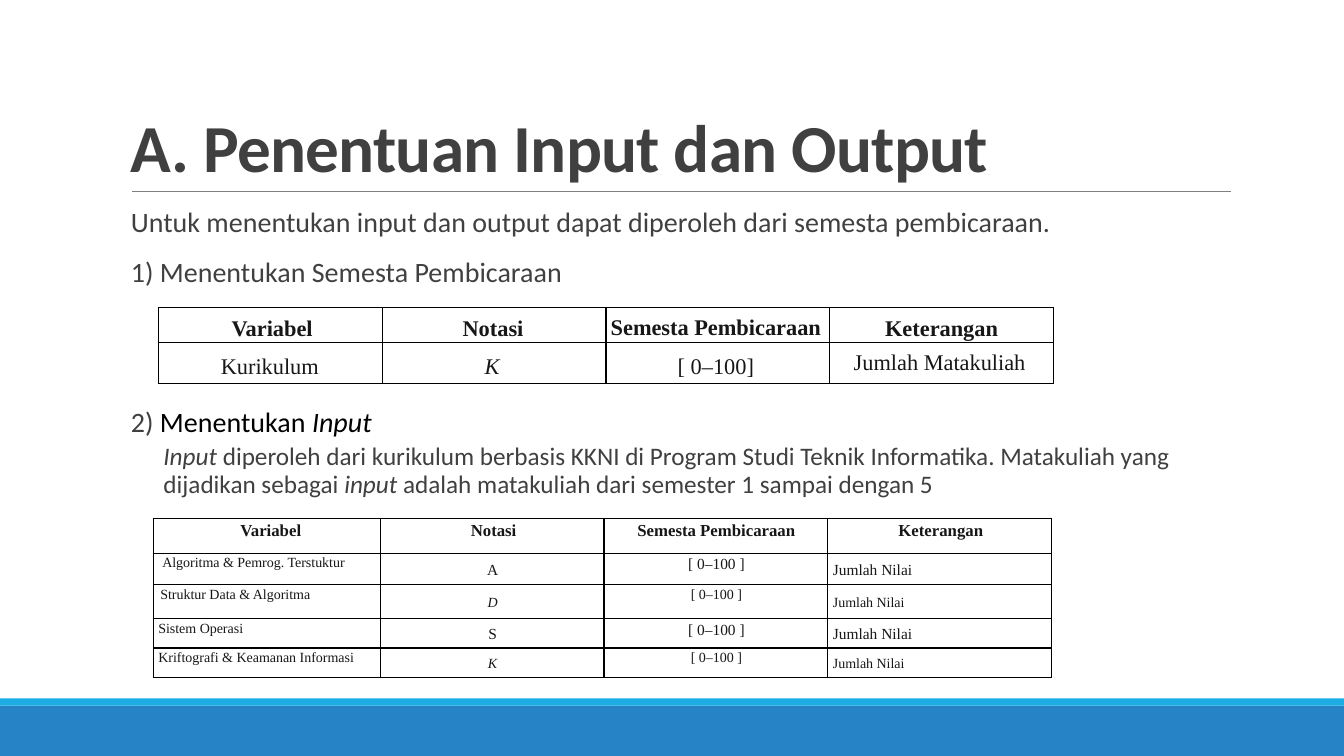
from lxml.etree import SubElement
from pptx import Presentation
from pptx.dml.color import RGBColor
from pptx.enum.shapes import MSO_CONNECTOR, MSO_SHAPE
from pptx.enum.text import MSO_ANCHOR as ANCHOR, PP_ALIGN as ALIGN
from pptx.oxml.ns import qn
from pptx.util import Cm, Pt

COLORS = {"text": "404040", "black": "000000", "cell": "181717",
          "band": "2683C6", "stripe": "1CADE4", "rule": "808080"}
BARS = [("band", 17.78, 1.27), ("stripe", 17.6, 0.18)]
TITLE = "A. Penentuan Input dan Output"
INTRO = [
    dict(size=20, indent=0.25, before=0, after=2, runs=[
        ("Untuk menentukan input dan output dapat diperoleh dari semesta pembicaraan.", "text", False)]),
    dict(size=20, indent=0.25, before=12, after=2, runs=[
        ("1) Menentukan Semesta Pembicaraan", "text", False)]),
]
INPUT = [
    dict(size=20, indent=0.25, before=0, after=2, runs=[
        ("2) ", "text", False), ("Menentukan ", "black", False), ("Input", "black", True)]),
    dict(size=18, indent=1.07, before=2, after=4, runs=[
        ("Input ", "text", True),
        ("diperoleh dari kurikulum berbasis KKNI di Program Studi Teknik Informatika. "
         "Matakuliah yang dijadikan sebagai ", "text", False),
        ("input ", "text", True),
        ("adalah matakuliah dari semester 1 sampai dengan 5", "text", False)]),
]
HEADER = ["Variabel", "Notasi", "Semesta Pembicaraan", "Keterangan"]
RANGE, SCORE = "[ 0–100 ]", "Jumlah Nilai"
UNIVERSE = dict(
    left=3.99, top=7.75, widths=[5.64] * 4, insets=(0.1, 0.1, 0.2, 0), aligns="cccc",
    rows=[(0.86, 16, "mmtm", (0.2, 0.05, 0, 0.1), HEADER),
          (1.04, 16, "mmmt", (0.08, 0, 0, 0),
           ["Kurikulum", "K", "[ 0–100]", "Jumlah Matakuliah"])])
COURSES = dict(
    left=3.86, top=13.06, widths=[5.72] + [5.64] * 3, insets=(0.13, 0, 0.1, 0), aligns="lccl",
    rows=[(0.88, 12, "tttt", (0.18, 0.05, 0, 0.03), HEADER),
          (0.79, 11, "tmtm", (0.1, 0, 0, 0), ["Algoritma & Pemrog. Terstuktur", "A", RANGE, SCORE]),
          (0.86, 10, "tmtm", (0.05, 0, 0, 0), ["Struktur Data & Algoritma", "D", RANGE, SCORE]),
          (0.74, 11, "tmtm", (0, 0, 0, 0), ["Sistem Operasi", "S", RANGE, SCORE]),
          (0.74, 10, "tmtm", (0, 0, 0, 0), ["Kriftografi & Keamanan Informasi", "K", RANGE, SCORE])])
NAME_SIZE = 10
ITALIC = {"K", "D"}
ANCHORS = {"t": ANCHOR.TOP, "m": ANCHOR.MIDDLE}
ALIGNS = {"l": ALIGN.LEFT, "c": ALIGN.CENTER}


def rgb(name):
    return RGBColor.from_string(COLORS[name])


def indent(p, cm):
    pPr = p._p.get_or_add_pPr()
    pPr.set("marL", str(Cm(cm)))
    pPr.set("indent", "0")


def add_bar(s, color, top, height):
    sp = s.shapes.add_shape(MSO_SHAPE.RECTANGLE, 0, Cm(top), Cm(33.87), Cm(height))
    sp.shadow.inherit = False
    sp.fill.solid()
    sp.fill.fore_color.rgb = rgb(color)
    sp.line.fill.background()


def add_rule(s):
    line = s.shapes.add_connector(MSO_CONNECTOR.STRAIGHT, Cm(3.33), Cm(4.83), Cm(31.01), Cm(4.83))
    line.line.color.rgb = rgb("rule")
    line.line.width = Pt(0.5)
    SubElement(line._element.spPr, qn("a:effectLst"))


def add_box(s, top, height):
    tf = s.shapes.add_textbox(Cm(3.05), Cm(top), Cm(27.94), Cm(height)).text_frame
    tf.word_wrap = True
    return tf


def add_title(s):
    tf = add_box(s, 0.79, 4.04)
    tf.vertical_anchor = ANCHOR.BOTTOM
    p = tf.paragraphs[0]
    r = p.add_run()
    r.text = TITLE
    r._r.get_or_add_rPr().set("spc", "-50")
    p.line_spacing = 0.85
    p.font.name, p.font.size, p.font.bold = "Calibri", Pt(48), True
    p.font.color.rgb = rgb("text")


def add_body(s, top, height, paragraphs):
    tf = add_box(s, top, height)
    tf.margin_left = tf.margin_right = 0
    for i, item in enumerate(paragraphs):
        p = tf.add_paragraph() if i else tf.paragraphs[0]
        indent(p, item["indent"])
        p.line_spacing = 0.9
        p.space_before, p.space_after = Pt(item["before"]), Pt(item["after"])
        p.font.name, p.font.size = "Calibri", Pt(item["size"])
        for text, color, italic in item["runs"]:
            r = p.add_run()
            r.text = text
            r.font.italic = italic
            r.font.color.rgb = rgb(color)


def add_borders(cell):
    tcPr = cell._tc.get_or_add_tcPr()
    for side in ("lnL", "lnR", "lnT", "lnB"):
        ln = SubElement(tcPr, qn(f"a:{side}"), w=str(Pt(1)))
        fill = SubElement(ln, qn("a:solidFill"))
        SubElement(fill, qn("a:srgbClr"), val=COLORS["black"])


def add_table(s, data):
    rows, widths = data["rows"], data["widths"]
    table = s.shapes.add_table(len(rows), len(widths), Cm(data["left"]), Cm(data["top"]),
                               Cm(sum(widths)), Cm(sum(row[0] for row in rows))).table
    table.first_row = table.horz_banding = False
    for j, width in enumerate(widths):
        table.columns[j].width = Cm(width)
    for i, (height, size, anchors, indents, texts) in enumerate(rows):
        table.rows[i].height = Cm(height)
        for j, text in enumerate(texts):
            cell = table.cell(i, j)
            add_borders(cell)
            cell.fill.background()
            cell.margin_left, cell.margin_top, cell.margin_right, cell.margin_bottom = map(Cm, data["insets"])
            cell.vertical_anchor = ANCHORS[anchors[j]]
            p = cell.text_frame.paragraphs[0]
            p.text = text
            indent(p, indents[j])
            p.alignment = ALIGNS[data["aligns"][j] if i else "c"]
            p.line_spacing = 1.15
            is_name = i and data["aligns"][j] == "l" and j == 0
            p.font.name, p.font.size = "Times New Roman", Pt(NAME_SIZE if is_name else size)
            p.font.bold, p.font.italic = i == 0, text in ITALIC
            p.font.color.rgb = rgb("cell")


def main():
    """Build the slide on determining input and output."""
    prs = Presentation()
    prs.slide_width, prs.slide_height = Cm(33.87), Cm(19.05)
    s = prs.slides.add_slide(prs.slide_layouts[6])
    for bar in BARS:
        add_bar(s, *bar)
    add_rule(s)
    add_title(s)
    add_body(s, 5.13, 2.3, INTRO)
    add_body(s, 10.16, 2.6, INPUT)
    add_table(s, UNIVERSE)
    add_table(s, COURSES)
    prs.save("out.pptx")


if __name__ == "__main__":
    main()
